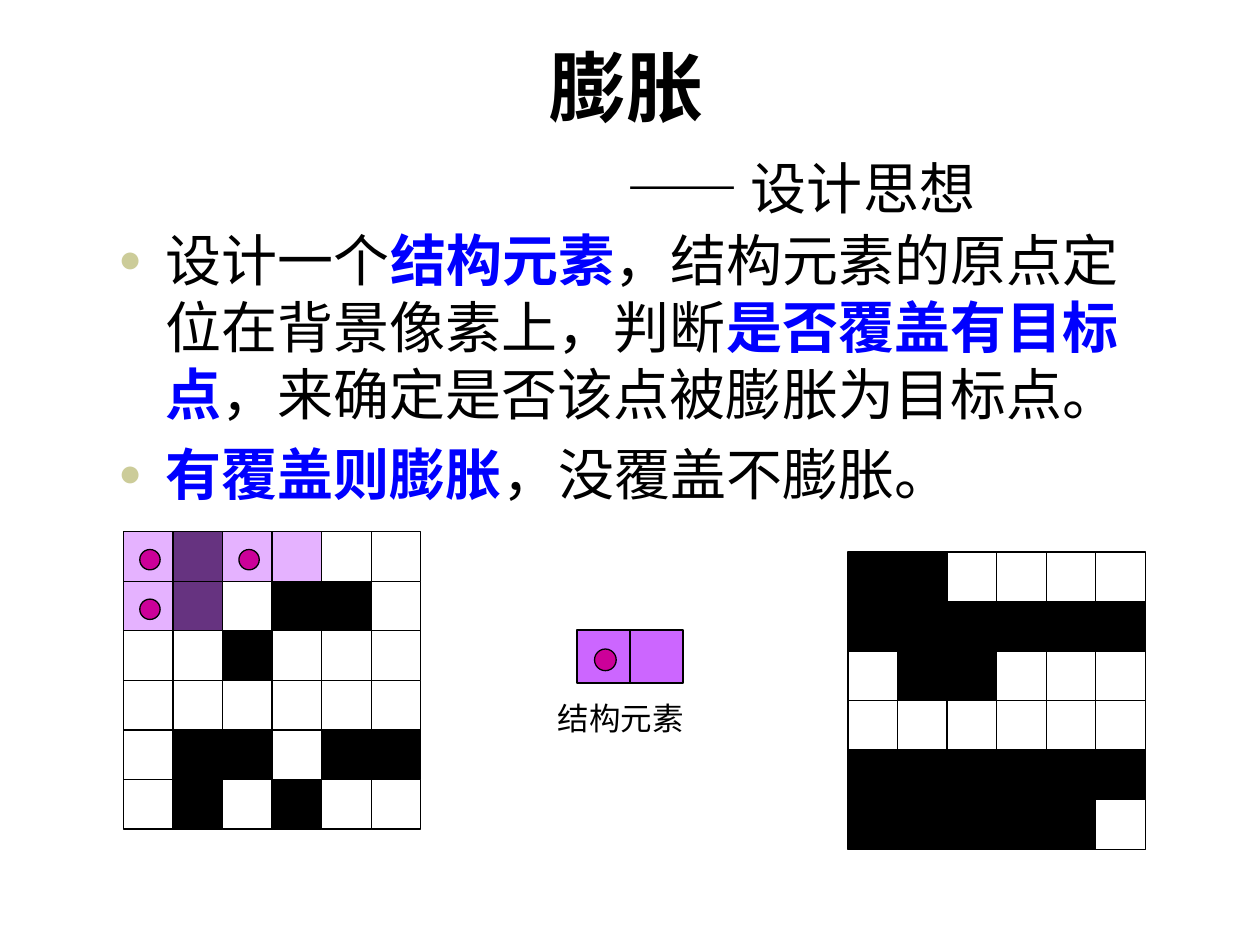
import pptx
import pptx.util
import pptx.dml.color
import pptx.enum.shapes
import pptx.enum.text
import pptx.oxml.ns
from lxml import etree

RGBColor = pptx.dml.color.RGBColor
Inches = pptx.util.Inches
Pt = pptx.util.Pt
MSO_SHAPE = pptx.enum.shapes.MSO_SHAPE

BLACK = RGBColor(0x00, 0x00, 0x00)
WHITE = RGBColor(0xFF, 0xFF, 0xFF)
BLUE = RGBColor(0x00, 0x00, 0xFF)
KHAKI = RGBColor(0xCC, 0xCC, 0x99)
VIOLET = RGBColor(0xCC, 0x66, 0xFF)
MAGENTA = RGBColor(0xCC, 0x00, 0x99)

SOURCE_PIXELS = ["010000", "010110", "001000", "000000", "011011", "010100"]
RESULT_PIXELS = ["110000", "111111", "011000", "000000", "111111", "111110"]
PROBES = [(0, 0), (0, 2), (1, 0)]
CELL = 2.36 / len(SOURCE_PIXELS)
SOURCE_ORIGIN = (0.98, 4.22)
RESULT_ORIGIN = (6.73, 4.38)

BULLETS = [
    [("设计一个", False), ("结构元素", True),
     ("，结构元素的原点定位在背景像素上，判断", False),
     ("是否覆盖有目标点", True),
     ("，来确定是否该点被膨胀为目标点。", False)],
    [("有覆盖则膨胀", True), ("，没覆盖不膨胀。", False)],
]


def place(shape, left, top, width, height):
    shape.left, shape.top = Inches(left), Inches(top)
    shape.width, shape.height = Inches(width), Inches(height)


def add_run(paragraph, text, font_name, size, color=BLACK, bold=False):
    run = paragraph.add_run()
    run.text = text
    run.font.name = font_name
    run.font.size = Pt(size)
    run.font.bold = bold
    run.font.color.rgb = color


def add_figure(shapes, kind, left, top, size, color, opacity=100):
    shape = shapes.add_shape(kind, Inches(left), Inches(top), Inches(size), Inches(size))
    shape.shadow.inherit = False
    shape.fill.solid()
    shape.fill.fore_color.rgb = color
    shape.line.color.rgb = BLACK
    shape.line.width = Pt(0.75)
    if opacity < 100:
        fill_color = shape.fill._xPr.find(".//" + pptx.oxml.ns.qn("a:srgbClr"))
        alpha = etree.SubElement(fill_color, pptx.oxml.ns.qn("a:alpha"))
        alpha.set("val", str(opacity * 1000))


def add_pixel_grid(slide, origin, pixels):
    left, top = origin
    group = slide.shapes.add_group_shape()
    for row, values in enumerate(pixels):
        for column, value in enumerate(values):
            color = BLACK if value == "1" else WHITE
            add_figure(group.shapes, MSO_SHAPE.RECTANGLE,
                       left + column * CELL, top + row * CELL, CELL, color)


def add_structuring_element(slide, left, top, size, opacity=100):
    group = slide.shapes.add_group_shape()
    for column in range(2):
        add_figure(group.shapes, MSO_SHAPE.RECTANGLE, left + column * size, top, size, VIOLET, opacity)
    add_figure(group.shapes, MSO_SHAPE.OVAL, left + size * 0.33, top + size * 0.36, size * 0.41, MAGENTA)
    return group


def add_caption(shapes, text, left, top, width, height):
    box = shapes.add_textbox(Inches(left), Inches(top), Inches(width), Inches(height))
    box.text_frame.word_wrap = True
    add_run(box.text_frame.paragraphs[0], text, "Times New Roman", 18)


def fill_title(title):
    place(title, 0.83, 0.58, 8.42, 1.25)
    frame = title.text_frame
    frame.vertical_anchor = pptx.enum.text.MSO_ANCHOR.BOTTOM
    frame.auto_size = pptx.enum.text.MSO_AUTO_SIZE.NONE
    frame.margin_bottom = Inches(0.08)
    heading = frame.paragraphs[0]
    add_run(heading, "膨胀 ", "Montserrat", 44, bold=True)
    subtitle = frame.add_paragraph()
    subtitle._p.get_or_add_pPr().set("marL", str(Inches(2.63)))
    subtitle.space_before = Pt(12)
    add_run(subtitle, "—— ", "Montserrat", 32, bold=True)
    add_run(subtitle, "设计思想", "Montserrat", 32)
    for paragraph in frame.paragraphs:
        paragraph.alignment = pptx.enum.text.PP_ALIGN.CENTER


def add_bullet(paragraph):
    properties = paragraph._p.get_or_add_pPr()
    properties.set("marL", str(Pt(27)))
    properties.set("indent", str(Pt(-27)))
    qn = pptx.oxml.ns.qn
    color = etree.SubElement(properties, qn("a:buClr"))
    etree.SubElement(color, qn("a:srgbClr")).set("val", str(KHAKI))
    etree.SubElement(properties, qn("a:buSzPct")).set("val", "70000")
    etree.SubElement(properties, qn("a:buFont")).set("typeface", "Arial")
    etree.SubElement(properties, qn("a:buChar")).set("char", "●")


def fill_body(body):
    place(body, 0.84, 1.74, 8.42, 4.42)
    frame = body.text_frame
    frame.auto_size = pptx.enum.text.MSO_AUTO_SIZE.NONE
    for index, parts in enumerate(BULLETS):
        paragraph = frame.add_paragraph() if index else frame.paragraphs[0]
        add_bullet(paragraph)
        paragraph.space_before = Pt(7 if index else 0)
        for text, emphasized in parts:
            add_run(paragraph, text, "Arial", 32, BLUE if emphasized else BLACK, emphasized)


def main():
    presentation = pptx.Presentation()
    presentation.slide_width, presentation.slide_height = Inches(10), Inches(7.5)
    slide = presentation.slides.add_slide(presentation.slide_layouts[1])
    fill_title(slide.shapes.title)
    fill_body(slide.placeholders[1])
    legend = add_structuring_element(slide, 4.58, 5, 0.42)
    add_caption(legend.shapes, "结构元素", 4.33, 5.5, 1.42, 0.4)
    add_pixel_grid(slide, SOURCE_ORIGIN, SOURCE_PIXELS)
    add_pixel_grid(slide, RESULT_ORIGIN, RESULT_PIXELS)
    left, top = SOURCE_ORIGIN
    for row, column in PROBES:
        add_structuring_element(slide, left + column * CELL, top + row * CELL, CELL, 50)
    presentation.save("out.pptx")


if __name__ == "__main__":
    main()
